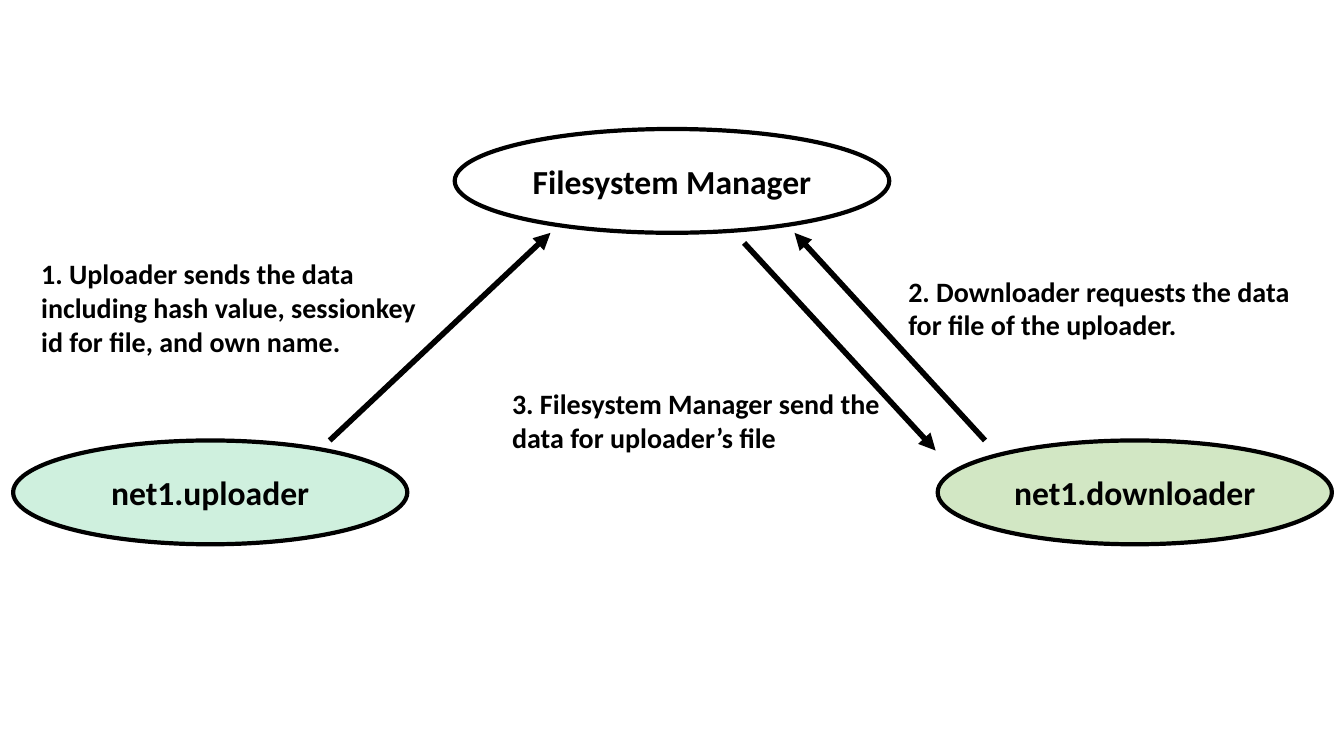
"""Build the slide on how uploader, downloader and filesystem manager exchange file data."""
from lxml import etree
from pptx import Presentation
from pptx.dml.color import RGBColor
from pptx.enum import shapes, text
from pptx.oxml import ns
from pptx.util import Inches, Pt

COLORS = {"ink": "000000", "uploader": "00B050", "downloader": "A9D18E", "manager": "FFFFFF"}
INK = RGBColor.from_string(COLORS["ink"])


def write(shape, words, size):
    tf = shape.text_frame
    tf.word_wrap = True
    p = tf.paragraphs[0]
    p.text = words
    p.font.name, p.font.size, p.font.bold = "Calibri", Pt(size), True
    p.font.color.rgb = INK
    return tf


prs = Presentation()
prs.slide_width, prs.slide_height = Inches(13.33), Inches(7.5)
s = prs.slides.add_slide(prs.slide_layouts[6])

nodes = [
    ("net1.uploader", 0.13, 4.37, 3.91, "uploader", 19),
    ("net1.downloader", 9.3, 4.37, 3.91, "downloader", 52),
    ("Filesystem Manager", 4.51, 1.28, 4.31, "manager", 100),
]
for name, left, top, width, color, opacity in nodes:
    sp = s.shapes.add_shape(shapes.MSO_SHAPE.OVAL, Inches(left), Inches(top), Inches(width), Inches(1.03))
    sp.shadow.inherit = False
    sp.fill.solid()
    sp.fill.fore_color.rgb = RGBColor.from_string(COLORS[color])
    if opacity < 100:
        fill = sp.element.spPr.find(ns.qn("a:solidFill"))
        etree.SubElement(fill[0], ns.qn("a:alpha"), val=str(opacity * 1000))
    sp.line.color.rgb = INK
    sp.line.width = Pt(3)
    tf = write(sp, name, 24)
    tf.vertical_anchor = text.MSO_ANCHOR.MIDDLE
    tf.paragraphs[0].alignment = text.PP_ALIGN.CENTER

steps = [
    ("1. Uploader sends the data including hash value, sessionkey id for file, and own name.",
     (0.31, 2.5, 4.19, 1.11), (3.27, 4.37, 5.46, 2.31)),
    ("2. Downloader requests the data for file of the uploader.",
     (8.91, 2.67, 4.19, 0.77), (9.77, 4.37, 7.88, 2.31)),
    ("3. Filesystem Manager send the data for uploader’s file",
     (4.98, 3.79, 4.19, 0.77), (7.38, 2.41, 9.28, 4.47)),
]
for words, box, ends in steps:
    arrow = s.shapes.add_connector(shapes.MSO_CONNECTOR.STRAIGHT, *map(Inches, ends))
    arrow.line.color.rgb = INK
    arrow.line.width = Pt(4)
    etree.SubElement(arrow.line._get_or_add_ln(), ns.qn("a:tailEnd"), type="triangle")
    etree.SubElement(arrow.element.spPr, ns.qn("a:effectLst"))
    label = s.shapes.add_textbox(*map(Inches, box))
    tf = write(label, words, 20)
    tf.auto_size = text.MSO_AUTO_SIZE.SHAPE_TO_FIT_TEXT

prs.save("out.pptx")
